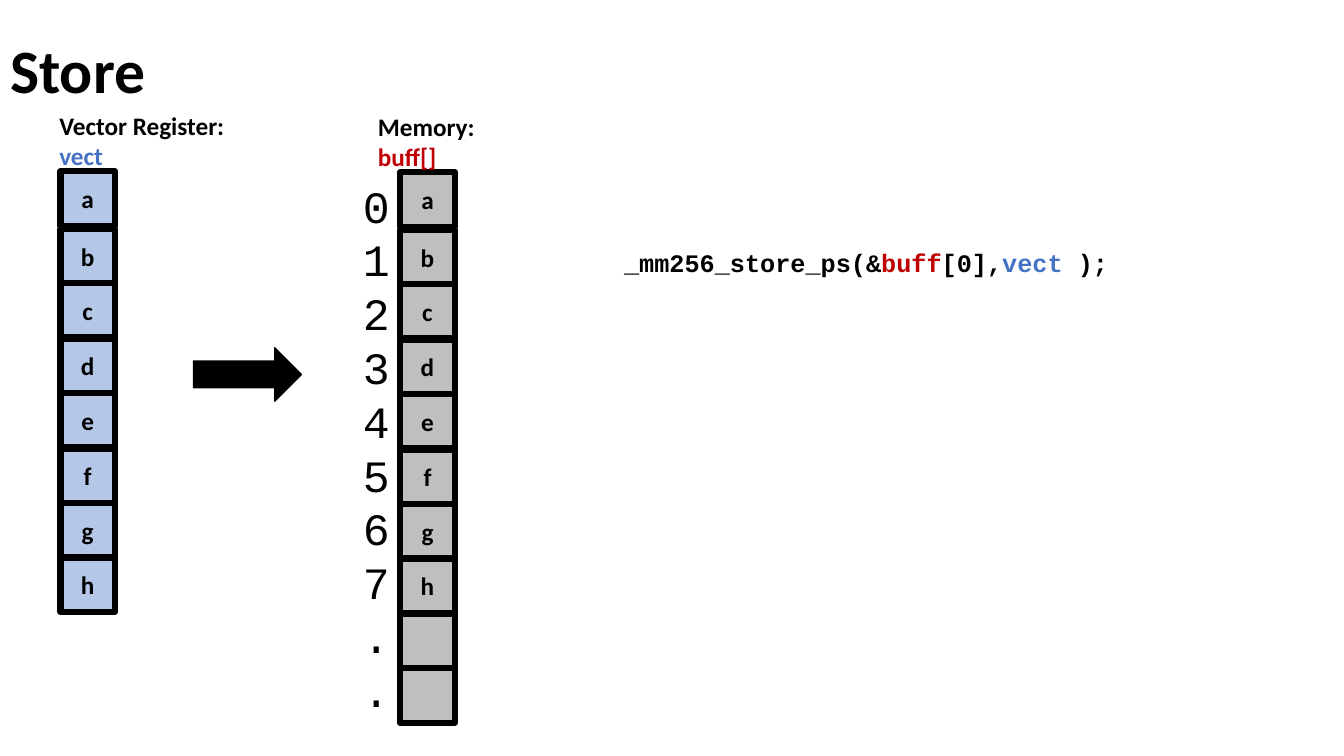
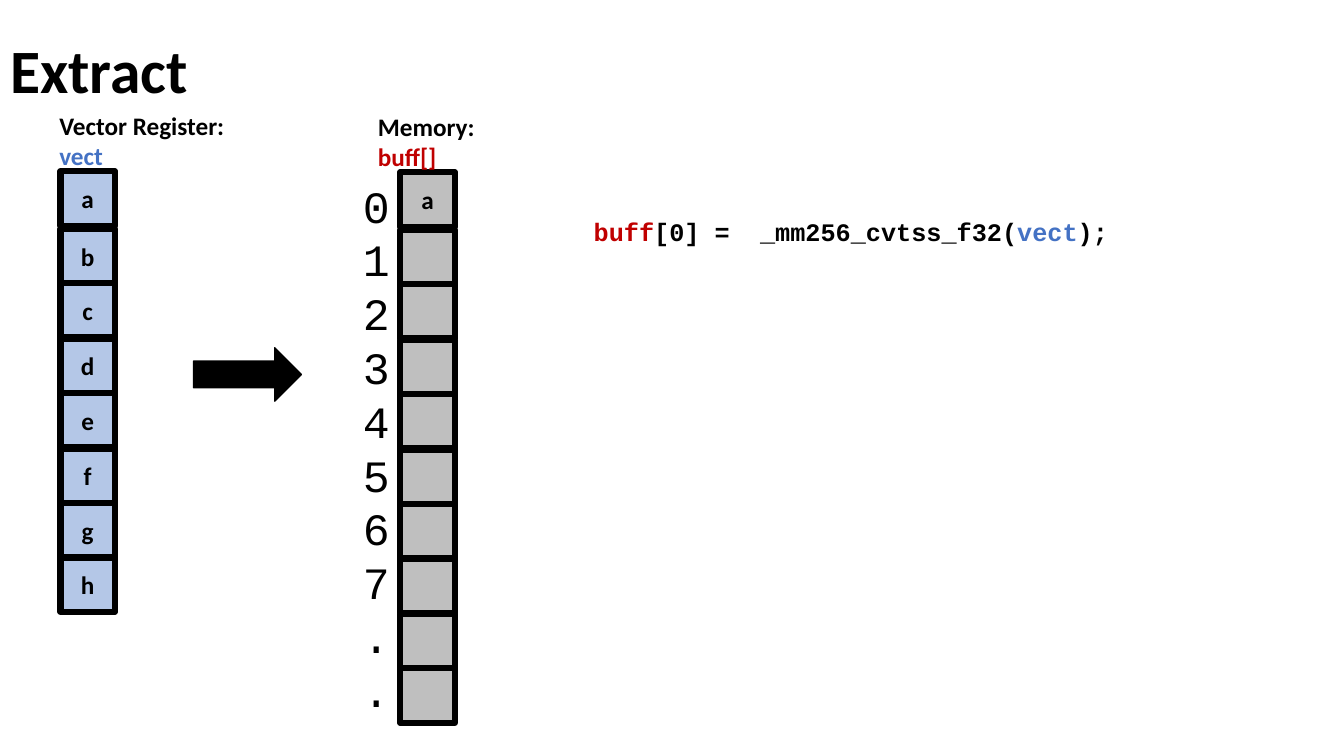
import pptx
import pptx.util
import pptx.dml.color
import pptx.enum.shapes
import pptx.enum.text

PX = 9144
CELL = 54
COLORS = {
    "ink": "000000",
    "register": "B4C7E7",
    "memory": "BFBFBF",
    "vect": "4472C4",
    "buff": "C00000",
}
SHAPE = pptx.enum.shapes.MSO_SHAPE
ALIGN = pptx.enum.text.PP_ALIGN
ANCHOR = pptx.enum.text.MSO_ANCHOR


def px(*lengths):
    """Convert px lengths to EMU."""
    return [pptx.util.Emu(n * PX) for n in lengths]


def rgb(name):
    """Look up a named colour."""
    return pptx.dml.color.RGBColor.from_string(COLORS[name])


def style(r, size, color="ink", face="Calibri", bold=True):
    """Format one run."""
    r.font.size = pptx.util.Pt(size)
    r.font.name = face
    r.font.bold = bold
    r.font.color.rgb = rgb(color)


def add_text(s, box, lines, size=18, face="Calibri", bold=True, inset=(10, 5)):
    """Add a text box from lines of (text, colour) runs."""
    tf = s.shapes.add_textbox(*px(*box)).text_frame
    tf.word_wrap = True
    tf.margin_left, tf.margin_top, tf.margin_right = px(*inset, 0)
    for i, runs in enumerate(lines):
        p = tf.add_paragraph() if i else tf.paragraphs[0]
        for text, color in runs:
            r = p.add_run()
            r.text = text
            style(r, size, color, face, bold)


def add_block(s, kind, box, fill, line_width):
    """Add a filled shape with a dark outline."""
    sp = s.shapes.add_shape(kind, *px(*box))
    sp.shadow.inherit = False
    sp.fill.solid()
    sp.fill.fore_color.rgb = rgb(fill)
    sp.line.color.rgb = rgb("ink")
    sp.line.width = pptx.util.Pt(line_width)
    return sp


def add_cells(s, x, y, values, fill):
    """Stack one square per value, with a wider step after the first."""
    for i, value in enumerate(values):
        top = y + (57 + round(54.38 * (i - 1)) if i else 0)
        sp = add_block(s, SHAPE.RECTANGLE, (x, top, CELL, CELL), fill, 4.5)
        if value:
            tf = sp.text_frame
            tf.text = value
            tf.vertical_anchor = ANCHOR.MIDDLE
            p = tf.paragraphs[0]
            p.alignment = ALIGN.CENTER
            style(p.runs[0], 18)


def add_register(s, x, y):
    """Draw the vector register and its label."""
    add_cells(s, x, y, "abcdefgh", "register")
    add_text(s, (x - 11, y - 66, 203, 71),
             [[("Vector Register:", "ink")], [("vect", "vect")]])


def add_memory(s, x, y, stored):
    """Draw ten memory cells, their indices and label."""
    indices = "01234567.."
    add_cells(s, x, y, list(stored) + [""] * (len(indices) - len(stored)), "memory")
    add_text(s, (x - 47, y + 1, CELL, 549), [[(c, "ink")] for c in indices],
             32, "Courier New", False)
    add_text(s, (x - 32, y - 66, 116, 71),
             [[("Memory:", "ink")], [("buff[]", "buff")]])


def add_title(s, text):
    """Place and format the slide title."""
    sp = s.shapes.title
    sp.left, sp.top, sp.width, sp.height = px(0, 0, 1150, 145)
    tf = sp.text_frame
    tf.text = text
    tf.vertical_anchor = ANCHOR.MIDDLE
    p = tf.paragraphs[0]
    p.alignment = ALIGN.LEFT
    p.line_spacing = 0.9
    style(p.runs[0], 44)


def add_instruction_slide(prs, title, stored, code, height, inset):
    """Build a slide that moves register values into memory."""
    s = prs.slides.add_slide(prs.slide_layouts[5])
    add_title(s, title)
    add_memory(s, 397, 171, stored)
    add_register(s, 60, 170)
    add_text(s, (579, 210, 674, height), [code], face="Courier New", inset=inset)
    add_block(s, SHAPE.RIGHT_ARROW, (192, 345, 107, 53), "ink", 1)


def main():
    """Build and save the presentation."""
    prs = pptx.Presentation()
    prs.slide_width, prs.slide_height = px(1333, 750)
    add_instruction_slide(
        prs, "Store", "abcdefgh",
        [("_mm256_store_ps(&", "ink"), ("buff", "buff"), ("[0],", "ink"),
         ("vect ", "vect"), (");", "ink")],
        131, (40, 35))
    add_instruction_slide(
        prs, "Extract", "a",
        [("buff", "buff"), ("[0] =  _mm256_cvtss_f32(", "ink"),
         ("vect", "vect"), (");", "ink")],
        101, (10, 5))
    prs.save("out.pptx")


if __name__ == "__main__":
    main()
